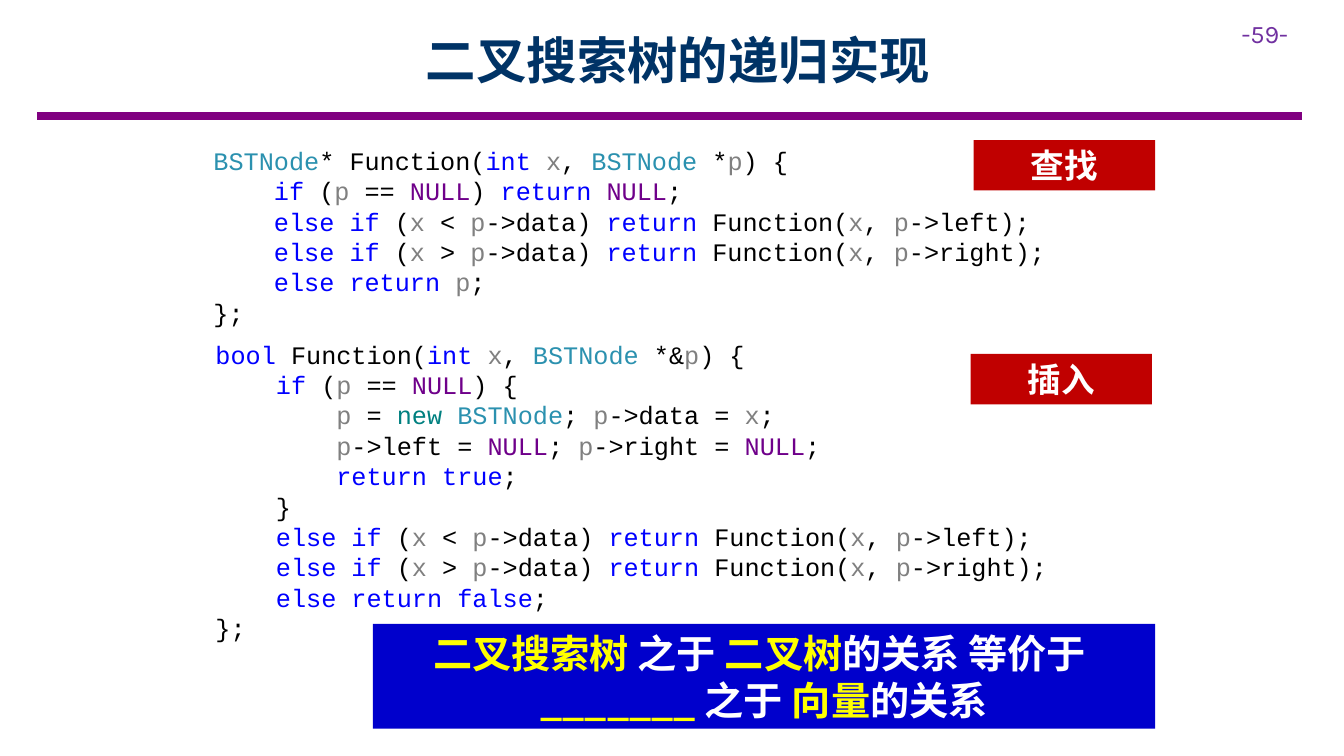
from itertools import groupby
from lxml import etree
from pptx import Presentation
from pptx.dml.color import RGBColor
from pptx.enum import shapes, text
from pptx.oxml.ns import qn
from pptx.util import Cm, Pt

BLACK = RGBColor(0x00, 0x00, 0x00)
WHITE = RGBColor(0xFF, 0xFF, 0xFF)
NAVY = RGBColor(0x00, 0x33, 0x66)
PURPLE = RGBColor(0x80, 0x00, 0x80)
VIOLET = RGBColor(0x70, 0x30, 0xA0)
RED = RGBColor(0xC0, 0x00, 0x00)
BLUE = RGBColor(0x00, 0x00, 0xCC)
YELLOW = RGBColor(0xFF, 0xFF, 0x00)
KEY = RGBColor(0x00, 0x00, 0xFF)
TYPE = RGBColor(0x2B, 0x91, 0xAF)
PARAM = RGBColor(0x80, 0x80, 0x80)
MACRO = RGBColor(0x6F, 0x00, 0x8A)
OPER = RGBColor(0x00, 0x80, 0x80)

HAN = "Noto Sans CJK SC"
MONO = "Courier New"

# Syntax colours by word
SYNTAX = {word: KEY for word in "int bool if else return true false".split()}
SYNTAX |= {"BSTNode": TYPE, "x": PARAM, "p": PARAM, "NULL": MACRO, "new": OPER}

FIND = """\
BSTNode* Function(int x, BSTNode *p) {
    if (p == NULL) return NULL;
    else if (x < p->data) return Function(x, p->left);
    else if (x > p->data) return Function(x, p->right);
    else return p;
};"""

INSERT = """\
bool Function(int x, BSTNode *&p) {
    if (p == NULL) {
        p = new BSTNode; p->data = x;
        p->left = NULL; p->right = NULL;
        return true;
    }
    else if (x < p->data) return Function(x, p->left);
    else if (x > p->data) return Function(x, p->right);
    else return false;
};"""


def write(frame, lines, font=HAN, size=18, bold=False, align=None,
          anchor=text.MSO_ANCHOR.TOP, pitch=None):
    """Fill a frame with lines, each a list of (string, colour) runs."""
    frame.word_wrap = True
    frame.vertical_anchor = anchor
    for i, line in enumerate(lines):
        para = frame.add_paragraph() if i else frame.paragraphs[0]
        para.alignment = align
        if pitch:
            para.line_spacing = Pt(pitch)
        for string, color in line:
            run = para.add_run()
            run.text = string
            run.font.name = font
            run.font.size = Pt(size)
            run.font.bold = bold
            run.font.color.rgb = color
            east = etree.SubElement(run.font._element, qn("a:ea"))
            east.set("typeface", font)


def tokens(line):
    """Split a code line into coloured runs."""
    words = ("".join(part) for _, part in groupby(line, str.isalnum))
    return [(word, SYNTAX.get(word, BLACK)) for word in words]


def header(slide, left, top, width):
    # Title
    title = slide.shapes.title
    title.left, title.top = left + Cm(5.59), top
    title.width, title.height = Cm(21.11), Cm(2.54)
    write(title.text_frame, [[("二叉搜索树的递归实现", NAVY)]], size=36,
          bold=True, align=text.PP_ALIGN.CENTER, anchor=text.MSO_ANCHOR.MIDDLE)
    # Rule below the title
    level = top + Cm(2.69)
    rule = slide.shapes.add_connector(
        shapes.MSO_CONNECTOR.STRAIGHT, left, level, left + width, level)
    rule.line.color.rgb = PURPLE
    rule.line.width = Pt(6)
    etree.SubElement(rule._element.spPr, qn("a:effectLst"))
    # Page number
    page = slide.shapes.add_textbox(
        left + Cm(30.1), top + Cm(0.1), Cm(2.82), Cm(1.02))
    write(page.text_frame, [[("-59-", VIOLET)]], font="Karla")


def listing(slide, code, left, top, width, height):
    box = slide.shapes.add_textbox(left, top, width, height)
    write(box.text_frame, [tokens(line) for line in code.splitlines()],
          font=MONO, pitch=21.7)


def panel(slide, lines, fill, left, top, width, height, **style):
    box = slide.shapes.add_shape(
        shapes.MSO_SHAPE.RECTANGLE, left, top, width, height)
    box.shadow.inherit = False
    box.fill.solid()
    box.fill.fore_color.rgb = fill
    box.line.fill.background()
    write(box.text_frame, lines, bold=True, align=text.PP_ALIGN.CENTER,
          anchor=text.MSO_ANCHOR.MIDDLE, **style)


def main():
    deck = Presentation()
    deck.slide_width, deck.slide_height = Cm(33.87), Cm(19.05)
    slide = deck.slides.add_slide(deck.slide_layouts[5])
    header(slide, Cm(0.94), Cm(0.23), Cm(31.88))

    # Code listings
    listing(slide, FIND, Cm(5.13), Cm(3.53), Cm(23.01), Cm(4.88))
    listing(slide, INSERT, Cm(5.18), Cm(8.41), Cm(21.56), Cm(7.95))

    # Labels beside the listings
    for label, left, top in (("查找", 24.54, 3.53), ("插入", 24.46, 8.92)):
        panel(slide, [[(label, WHITE)]], RED,
              Cm(left), Cm(top), Cm(4.57), Cm(1.27), size=24)

    # Closing question
    question = [
        [("二叉搜索树 ", YELLOW), ("之于 ", WHITE), ("二叉树", YELLOW),
         ("的关系 等价于 ", WHITE)],
        [("_______ ", YELLOW), ("之于 ", WHITE), ("向量", YELLOW),
         ("的关系", WHITE)],
    ]
    panel(slide, question, BLUE, Cm(9.4), Cm(15.72), Cm(19.71), Cm(2.64),
          size=28, pitch=33.6)
    deck.save("out.pptx")


if __name__ == "__main__":
    main()
